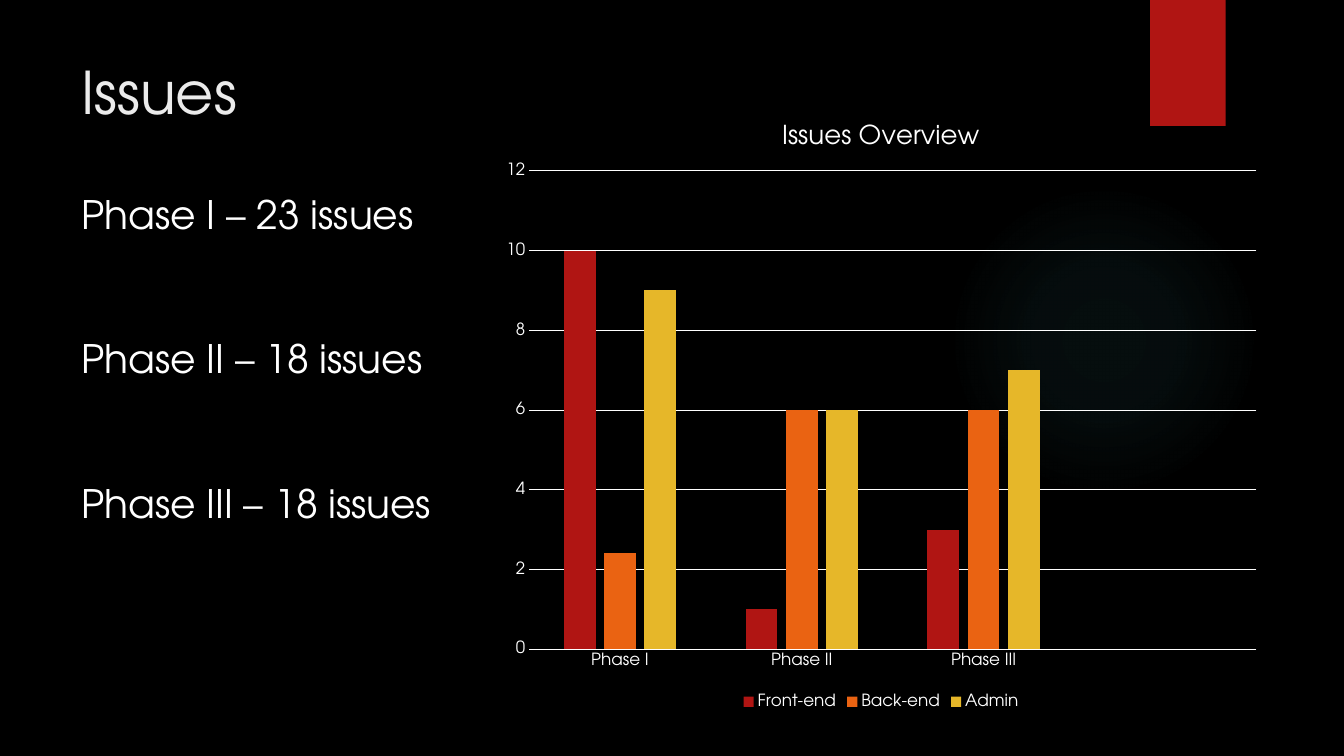
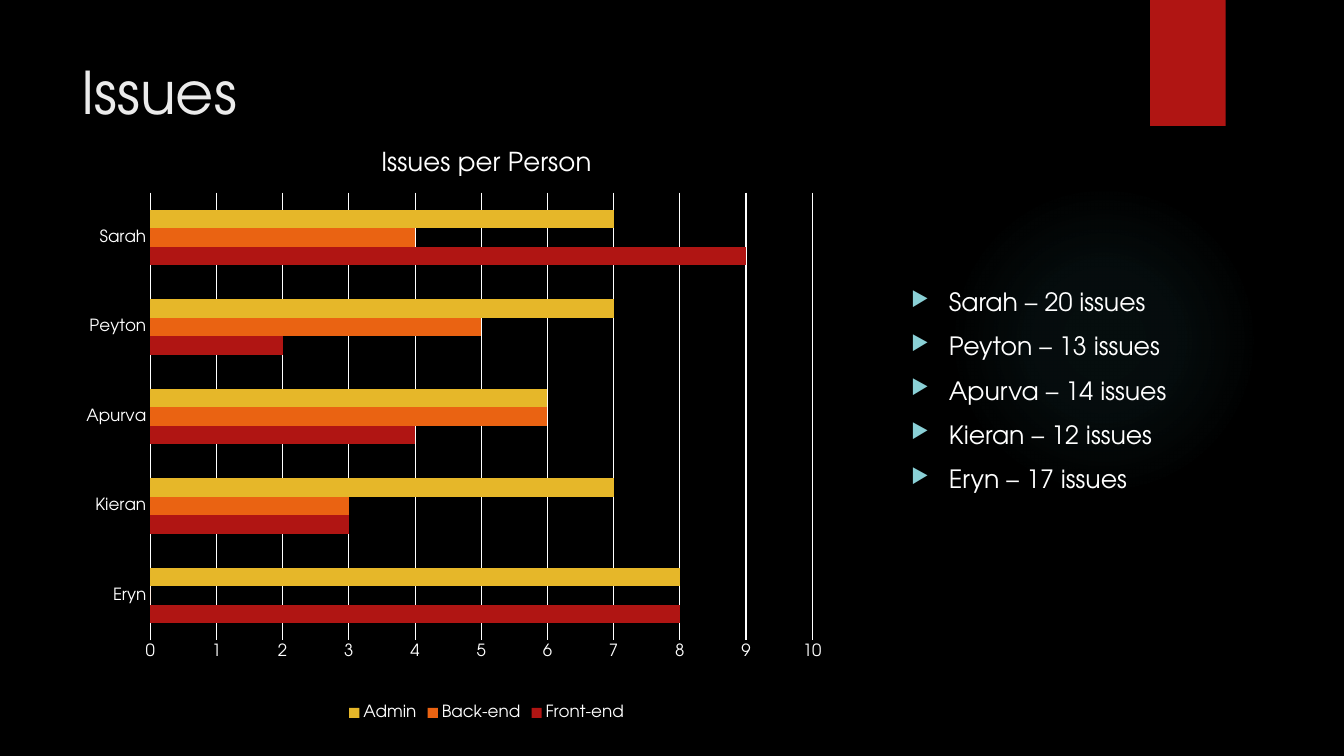
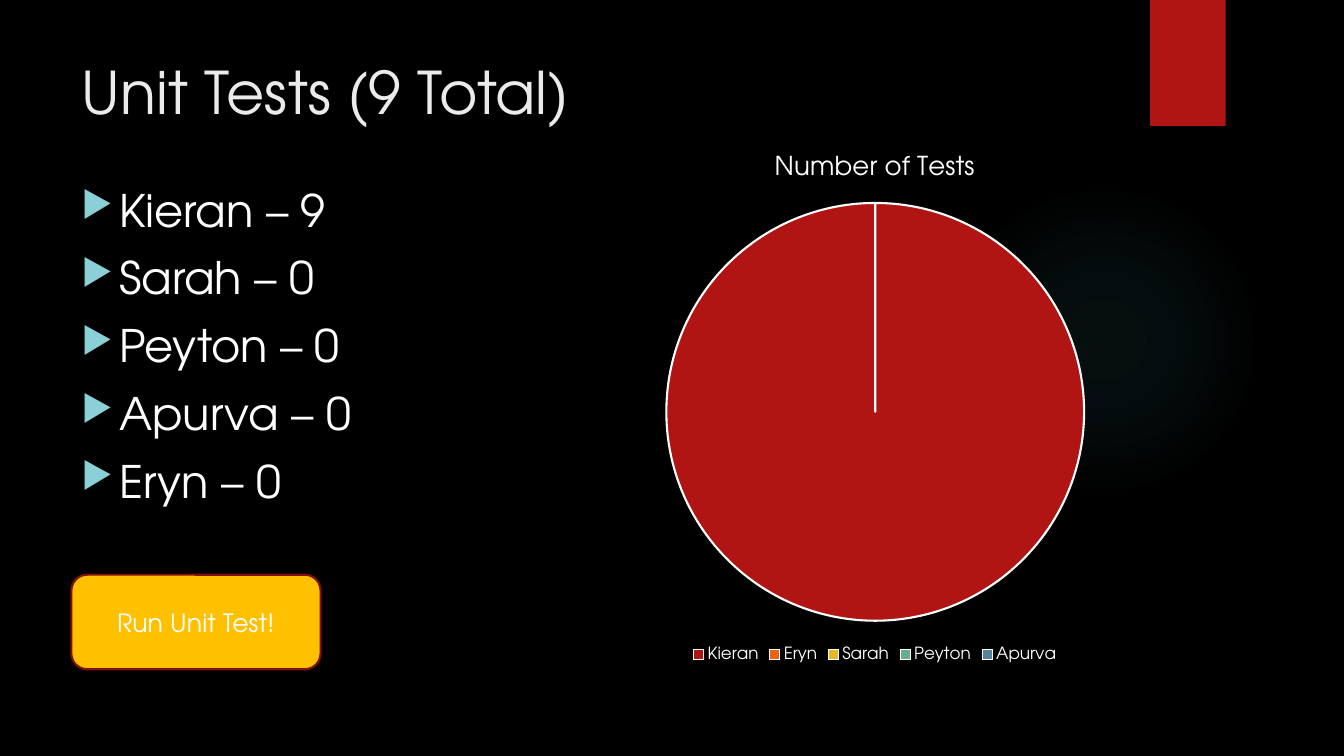
from pptx import Presentation
from pptx.chart.data import CategoryChartData
from pptx.dml.color import RGBColor
from pptx.enum import chart as charts, shapes, text
from pptx.oxml import parse_xml
from pptx.oxml.ns import nsdecls
from pptx.util import Pt

# Shared style
rgb = RGBColor.from_string
FONT = "TeX Gyre Adventor"
WHITE, TITLE, RED, ORANGE, YELLOW = "FFFFFF", "EBEBEB", "B01513", "EA6312", "E6B729"
AREAS = {"Front-end": RED, "Back-end": ORANGE, "Admin": YELLOW}
LEFT = 51
GLOW = f"""<a:gradFill {nsdecls('a')} rotWithShape="1"><a:gsLst>
<a:gs pos="0"><a:srgbClr val="50B9C1"><a:alpha val="7000"/></a:srgbClr></a:gs>
<a:gs pos="36000"><a:srgbClr val="50B9C1"><a:alpha val="6000"/></a:srgbClr></a:gs>
<a:gs pos="69000"><a:srgbClr val="50B9C1"><a:alpha val="0"/></a:srgbClr></a:gs>
</a:gsLst><a:path path="circle"><a:fillToRect l="50000" t="50000" r="50000" b="50000"/></a:path>
</a:gradFill>"""
BULLET = [f'<a:buClr {nsdecls("a")}><a:srgbClr val="8AD0D6"/></a:buClr>',
          f'<a:buSzPct {nsdecls("a")} val="80000"/>',
          f'<a:buChar {nsdecls("a")} char="\u25b6"/>']


def write(sp, lines, size, color=WHITE, bullets=False, wrap=True):
    tf = sp.text_frame
    tf.word_wrap = wrap
    for i, line in enumerate(lines):
        p = tf.add_paragraph() if i else tf.paragraphs[0]
        r = p.add_run()
        r.text = line
        r.font.name, r.font.size, r.font.color.rgb = FONT, Pt(size), rgb(color)
        if bullets:
            p.space_before = Pt(10)
            pPr = p._p.get_or_add_pPr()
            pPr.set("marL", str(Pt(27)))
            pPr.set("indent", str(Pt(-27)))
            for xml in BULLET:
                pPr.append(parse_xml(xml))
    return tf


def add_chart(s, kind, box, title, cats, series, plot_box):
    data = CategoryChartData()
    data.categories = cats
    for name, values in series.items():
        data.add_series(name, values)
    chart = s.shapes.add_chart(kind, *map(Pt, box), data).chart
    chart.font.name, chart.font.size, chart.font.color.rgb = FONT, Pt(12), rgb(WHITE)
    chart.has_title = True
    r = chart.chart_title.text_frame.paragraphs[0].add_run()
    r.text = title
    r.font.name, r.font.size, r.font.bold = FONT, Pt(18.6), False
    r.font.color.rgb = rgb(WHITE)
    chart.has_legend = True
    chart.legend.position = charts.XL_LEGEND_POSITION.BOTTOM
    chart.legend.include_in_layout = False

    # Plot area as fractions of the chart
    area = chart.element.chart.plotArea
    for old in area.findall("{*}layout"):
        area.remove(old)
    modes = '<c:layoutTarget val="inner"/><c:xMode val="edge"/><c:yMode val="edge"/>'
    sides = "".join(f'<c:{k} val="{v}"/>' for k, v in zip("xywh", plot_box))
    area.insert(0, parse_xml(f'<c:layout {nsdecls("c")}><c:manualLayout>{modes}{sides}'
                             '</c:manualLayout></c:layout>'))

    if kind != charts.XL_CHART_TYPE.PIE:
        chart.plots[0].vary_by_categories = False
        for axis in (chart.category_axis, chart.value_axis):
            axis.major_tick_mark = axis.minor_tick_mark = charts.XL_TICK_MARK.NONE
        chart.value_axis.format.line.fill.background()
        chart.value_axis.minimum_scale = 0
        for line in (chart.category_axis.format.line,
                     chart.value_axis.major_gridlines.format.line):
            line.color.rgb, line.width = rgb(WHITE), Pt(0.75)
        for ser in chart.plots[0].series:
            ser.format.fill.solid()
            ser.format.fill.fore_color.rgb = rgb(AREAS[ser.name])
    return chart


prs = Presentation()
prs.slide_width, prs.slide_height = Pt(960), Pt(540)

# Background, glow, red tab and title of every slide
slides = []
for title in ("Issues", "Issues", "Unit Tests (9 Total)"):
    s = prs.slides.add_slide(prs.slide_layouts[6])
    s.background.fill.solid()
    s.background.fill.fore_color.rgb = rgb("000000")
    glow = s.shapes.add_shape(shapes.MSO_SHAPE.OVAL, Pt(677.5), Pt(131.8), Pt(221.8), Pt(221.8))
    glow.fill.background()
    spPr = glow._element.spPr
    spPr.replace(spPr.find("{*}noFill"), parse_xml(GLOW))
    tab = s.shapes.add_shape(shapes.MSO_SHAPE.RECTANGLE, Pt(821.5), 0, Pt(54), Pt(90))
    tab.fill.solid()
    tab.fill.fore_color.rgb = rgb(RED)
    for sp in (glow, tab):
        sp.line.fill.background()
        sp.shadow.inherit = False
    write(s.shapes.add_textbox(Pt(LEFT), Pt(36), Pt(741), Pt(110)), [title], 42, TITLE)
    slides.append(s)
overview, people, tests = slides

# Slide 1: issues per phase
phases = ("Phase I \u2013 23 issues", "Phase II \u2013 18 issues", "Phase III \u2013 18 issues")
for i, phase in enumerate(phases):
    sp = overview.shapes.add_textbox(Pt(LEFT), Pt(132.5 + 103 * i), Pt(255 + 6.5 * i), Pt(41))
    write(sp, [phase], 28, wrap=False)
chart = add_chart(overview, charts.XL_CHART_TYPE.COLUMN_CLUSTERED, (350, 71.3, 558.7, 438.5),
                  "Issues Overview", ["Phase I", "Phase II", "Phase III", ""],
                  {"Front-end": (10, 1, 3, None), "Back-end": (2.4, 6, 6, None),
                   "Admin": (9, 6, 7, None)}, (0.05, 0.116, 0.93, 0.779))
chart.plots[0].gap_width, chart.plots[0].overlap = 219, -27
chart.value_axis.maximum_scale, chart.value_axis.major_unit = 12, 2

# Slide 2: issues per person
totals = {"Sarah": 20, "Peyton": 13, "Apurva": 14, "Kieran": 12, "Eryn": 17}
sp = people.shapes.add_textbox(Pt(643.7), Pt(201), Pt(230.5), Pt(206))
write(sp, [f"{name} \u2013 {n} issues" for name, n in totals.items()], 18, bullets=True)
chart = add_chart(people, charts.XL_CHART_TYPE.BAR_CLUSTERED, (LEFT, 90.7, 593.3, 427),
                  "Issues per Person", list(totals)[::-1],
                  {"Front-end": (8, 3, 4, 2, 9), "Back-end": (0, 3, 6, 5, 4),
                   "Admin": (8, 7, 6, 7, 7)}, (0.095, 0.11, 0.797, 0.749))
chart.plots[0].gap_width = 182
chart.value_axis.maximum_scale, chart.value_axis.major_unit = 10, 1

# Slide 3: unit tests
counts = {"Kieran": 9, "Sarah": 0, "Peyton": 0, "Apurva": 0, "Eryn": 0}
sp = tests.shapes.add_textbox(Pt(LEFT), Pt(126.7), Pt(378.7), Pt(240))
write(sp, [f"{name} \u2013 {n}" for name, n in counts.items()], 32, bullets=True)
chart = add_chart(tests, charts.XL_CHART_TYPE.PIE, (382.3, 95, 485.3, 381),
                  "Number of Tests", ["Kieran", "Eryn", "Sarah", "Peyton", "Apurva"],
                  {"Series 1": (100, 0, 0, 0, 0)}, (0.193, 0.131, 0.615, 0.784))
for i, color in enumerate((RED, ORANGE, YELLOW, "6AAC90", "54849A")):
    wedge = chart.plots[0].series[0].points[i].format
    wedge.fill.solid()
    wedge.fill.fore_color.rgb = rgb(color)
    wedge.line.color.rgb, wedge.line.width = rgb(WHITE), Pt(1.5)

button = tests.shapes.add_shape(shapes.MSO_SHAPE.ROUNDED_RECTANGLE,
                                Pt(LEFT), Pt(410.5), Pt(178), Pt(67.5))
button.shadow.inherit = False
button.fill.solid()
button.fill.fore_color.rgb = rgb("FFC000")
button.line.color.rgb, button.line.width = rgb("82100E"), Pt(1.5)
tf = write(button, ["Run Unit Test!"], 18)
tf.vertical_anchor = text.MSO_ANCHOR.MIDDLE
tf.paragraphs[0].alignment = text.PP_ALIGN.CENTER

prs.save("out.pptx")
